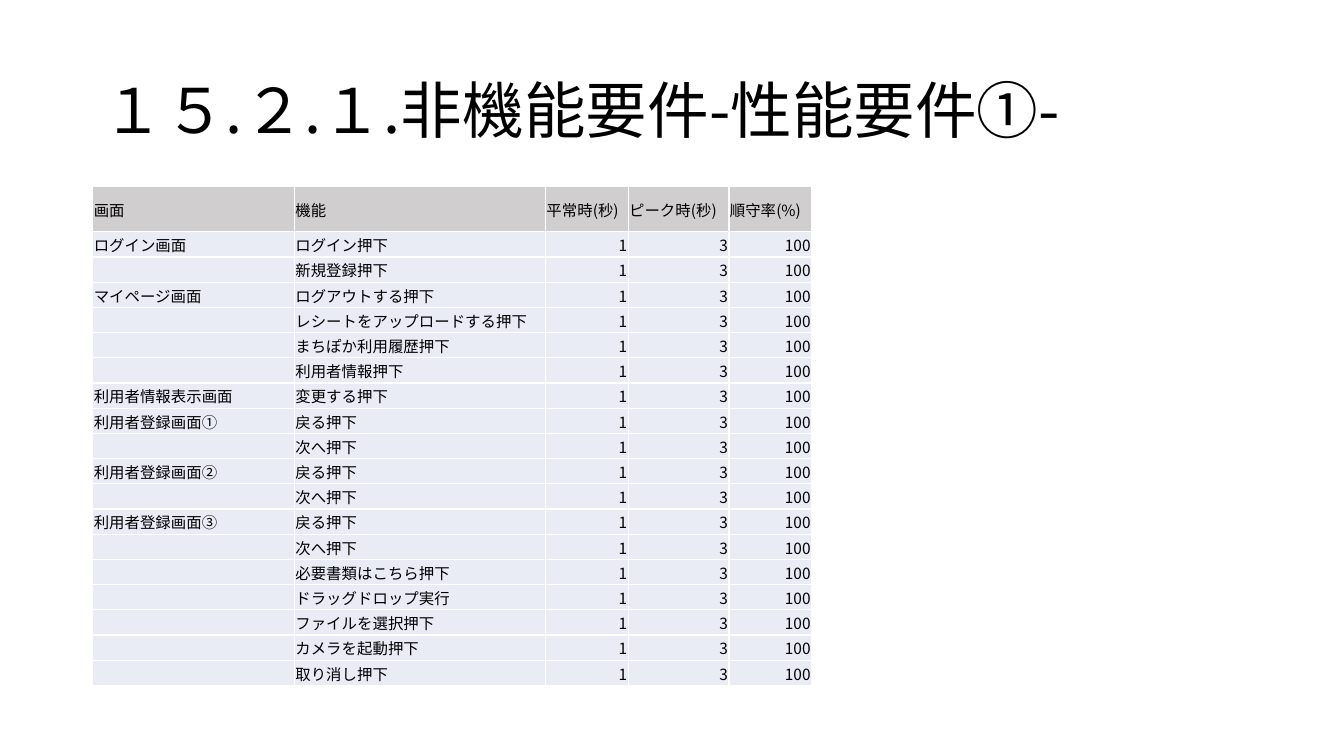
from dataclasses import dataclass

from lxml import etree
from pptx import Presentation
from pptx import util as u
from pptx.dml import color
from pptx.enum import text
from pptx.oxml import ns


@dataclass(frozen=True)
class Theme:
    font: str = "Noto Sans CJK JP"
    ink: str = "000000"
    header: str = "D0CECE"
    body: str = "E9EBF5"
    border: str = "FFFFFF"
    title_size: int = 44
    cell_size: int = 11
    border_width: int = 1


@dataclass(frozen=True)
class Screen:
    name: str
    functions: tuple[str, ...]


@dataclass(frozen=True)
class Column:
    heading: str
    width: float


THEME = Theme()
COLUMNS = (
    Column("画面", 2),
    Column("機能", 2.49),
    Column("平常時(秒)", 0.82),
    Column("ピーク時(秒)", 1),
    Column("順守率(%)", 0.82),
)
TARGETS = ("1", "3", "100")  # normal seconds, peak seconds, compliance
SCREENS = (
    Screen("ログイン画面", ("ログイン押下", "新規登録押下")),
    Screen("マイページ画面", ("ログアウトする押下", "レシートをアップロードする押下",
                       "まちぽか利用履歴押下", "利用者情報押下")),
    Screen("利用者情報表示画面", ("変更する押下",)),
    Screen("利用者登録画面①", ("戻る押下", "次へ押下")),
    Screen("利用者登録画面②", ("戻る押下", "次へ押下")),
    Screen("利用者登録画面③", ("戻る押下", "次へ押下", "必要書類はこちら押下",
                        "ドラッグドロップ実行", "ファイルを選択押下",
                        "カメラを起動押下", "取り消し押下")),
)
HEADER_HEIGHT = 0.45  # room for two lines
ROW_HEIGHT = 0.25


def write(tf, content: str, *, size: int, align=text.PP_ALIGN.LEFT,
          spacing: float = 1.0) -> None:
    p = tf.paragraphs[0]
    p.alignment = align
    p.line_spacing = spacing
    if not content:
        # An empty cell still needs the small type size to keep its row low
        p._p.get_or_add_endParaRPr().set("sz", str(size * 100))
        return
    r = p.add_run()
    r.text = content
    r.font.size = u.Pt(size)
    r.font.name = THEME.font
    r.font.color.rgb = color.RGBColor.from_string(THEME.ink)
    etree.SubElement(r.font._element, ns.qn("a:ea"), typeface=THEME.font)


def add_borders(cell) -> None:
    tc_pr = cell._tc.get_or_add_tcPr()
    for side in ("lnL", "lnR", "lnT", "lnB"):
        ln = etree.SubElement(tc_pr, ns.qn(f"a:{side}"),
                              w=str(u.Pt(THEME.border_width)))
        fill = etree.SubElement(ln, ns.qn("a:solidFill"))
        etree.SubElement(fill, ns.qn("a:srgbClr"), val=THEME.border)


def fill_cell(cell, content: str, fill: str, align) -> None:
    cell.margin_left = cell.margin_right = cell.margin_top = u.Inches(0.01)
    cell.margin_bottom = 0
    cell.vertical_anchor = text.MSO_ANCHOR.MIDDLE
    add_borders(cell)
    cell.fill.solid()
    cell.fill.fore_color.rgb = color.RGBColor.from_string(fill)
    write(cell.text_frame, content, size=THEME.cell_size, align=align)


def add_title(s, content: str) -> None:
    sp = s.shapes.add_textbox(u.Inches(0.92), u.Inches(0.4),
                              u.Inches(11.5), u.Inches(1.45))
    tf = sp.text_frame
    tf.word_wrap = True
    tf.vertical_anchor = text.MSO_ANCHOR.MIDDLE
    write(tf, content, size=THEME.title_size, spacing=0.9)


def add_requirements(s) -> None:
    # The screen name shows only beside its first function
    rows = [tuple(c.heading for c in COLUMNS)]
    for screen in SCREENS:
        for i, function in enumerate(screen.functions):
            rows.append((screen.name if i == 0 else "", function, *TARGETS))

    width = sum(c.width for c in COLUMNS)
    height = HEADER_HEIGHT + ROW_HEIGHT * (len(rows) - 1)
    table = s.shapes.add_table(
        len(rows), len(COLUMNS), u.Inches(0.92), u.Inches(1.85),
        u.Inches(width), u.Inches(height)).table
    for i, column in enumerate(COLUMNS):
        table.columns[i].width = u.Inches(column.width)
    for i, row in enumerate(rows):
        table.rows[i].height = u.Inches(ROW_HEIGHT if i else HEADER_HEIGHT)
        for j, content in enumerate(row):
            numeric = i > 0 and j >= 2
            fill_cell(table.cell(i, j), content,
                      THEME.body if i else THEME.header,
                      text.PP_ALIGN.RIGHT if numeric else text.PP_ALIGN.LEFT)


def main() -> None:
    prs = Presentation()
    prs.slide_width, prs.slide_height = u.Inches(13.33), u.Inches(7.5)
    s = prs.slides.add_slide(prs.slide_layouts[6])
    add_title(s, "１５.２.１.非機能要件-性能要件①-")
    add_requirements(s)
    prs.save("out.pptx")


if __name__ == "__main__":
    main()
